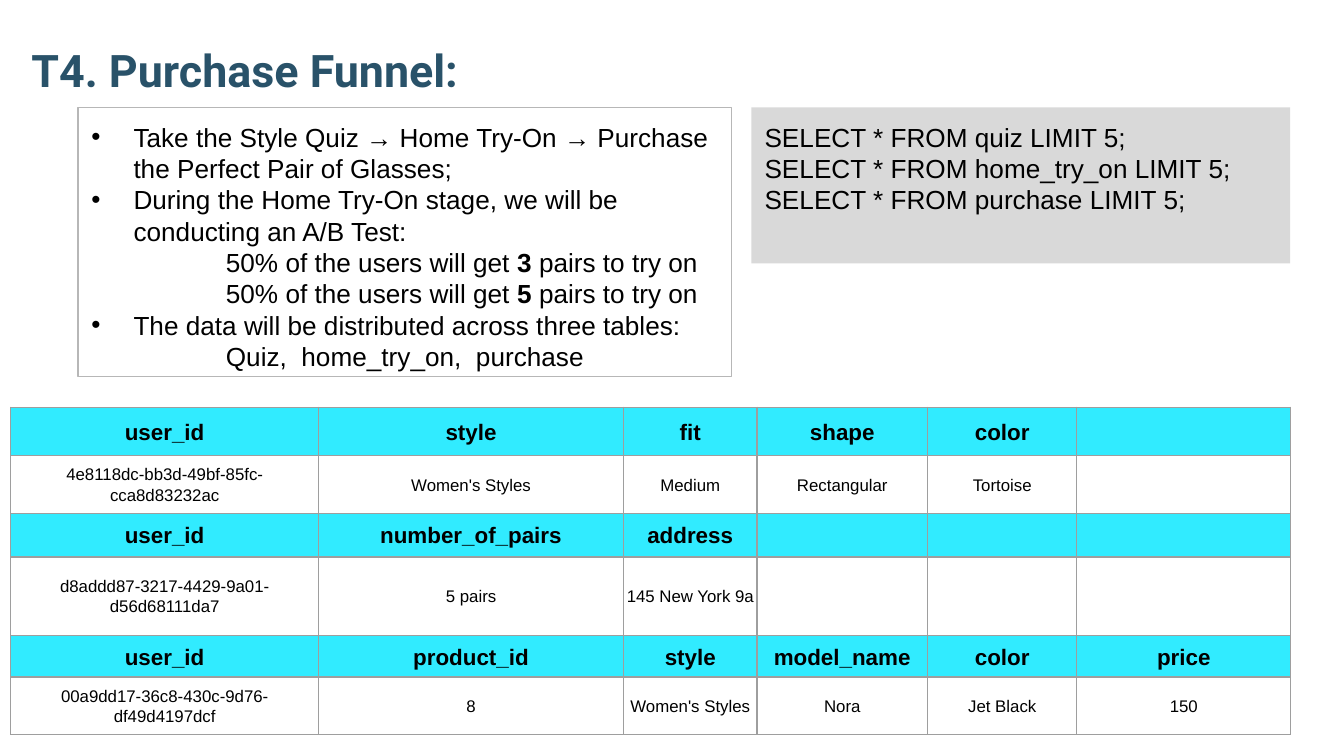
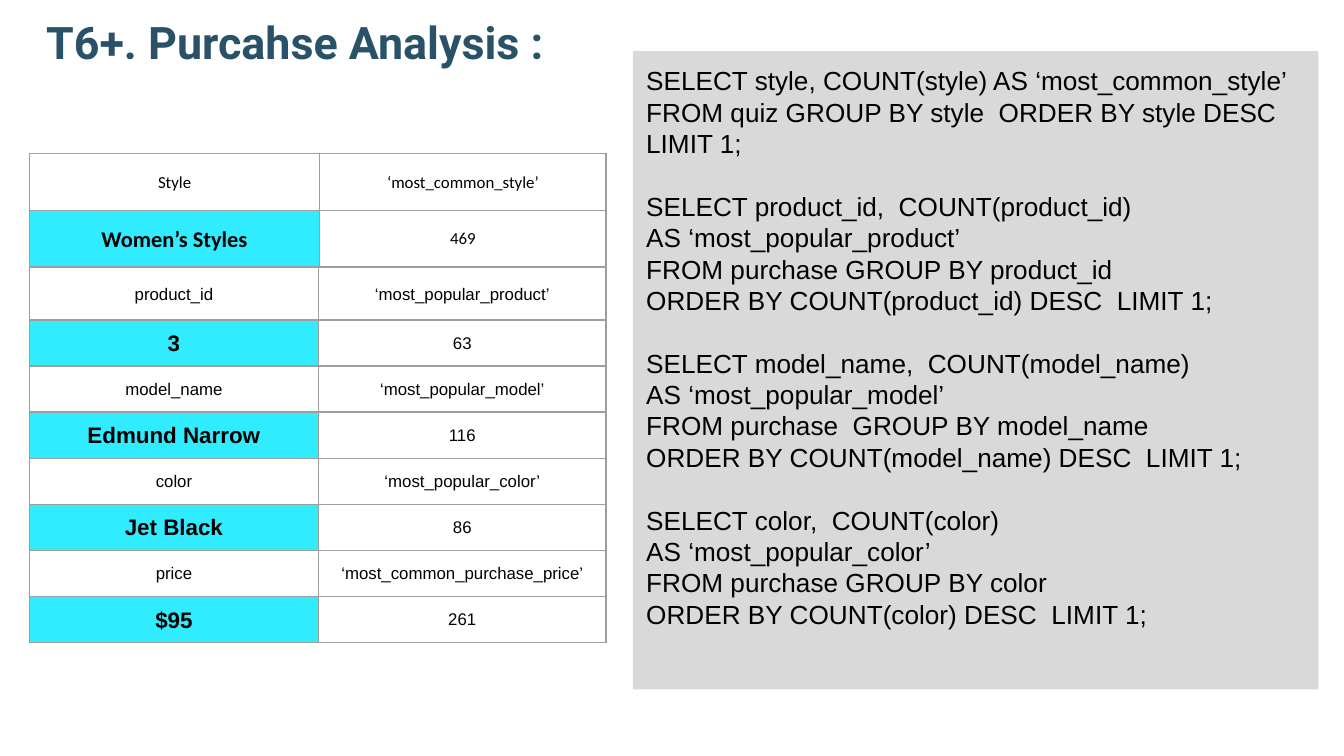
import pptx
import pptx.dml.color
import pptx.enum.shapes
import pptx.enum.text
import pptx.oxml
import pptx.oxml.ns
import pptx.util
from lxml import etree

Pt = pptx.util.Pt
ANCHOR = pptx.enum.text.MSO_ANCHOR
ALIGN = pptx.enum.text.PP_ALIGN

NAVY, BLACK, CYAN = "295269", "000000", "31EBFF"
PANEL_GREY, BOX_GREY, GRID_GREY = "D9D9D9", "B7B7B7", "9E9E9E"
INSET = 7.2
CODE_GAP = 16.8

FUNNEL_STEPS = [
    ("bullet", "Take the Style Quiz → Home Try-On → Purchase the Perfect Pair of Glasses;"),
    ("bullet", "During the Home Try-On stage, we will be conducting an A/B Test:"),
    ("detail", "50% of the users will get |3| pairs to try on"),
    ("detail", "50% of the users will get |5| pairs to try on"),
    ("bullet", "The data will be distributed across three tables:"),
    ("detail", "Quiz,  home_try_on,  purchase"),
]
FUNNEL_QUERIES = [[
    "SELECT * FROM quiz LIMIT 5;",
    "SELECT * FROM home_try_on LIMIT 5;",
    "SELECT * FROM purchase LIMIT 5;",
]]
FUNNEL_ROWS = [
    ["user_id", "style", "fit", "shape", "color", ""],
    ["4e8118dc-bb3d-49bf-85fc-cca8d83232ac", "Women's Styles", "Medium",
     "Rectangular", "Tortoise", ""],
    ["user_id", "number_of_pairs", "address", "", "", ""],
    ["d8addd87-3217-4429-9a01-d56d68111da7", "5 pairs", "145 New York 9a", "", "", ""],
    ["user_id", "product_id", "style", "model_name", "color", "price"],
    ["00a9dd17-36c8-430c-9d76-df49d4197dcf", "8", "Women's Styles", "Nora",
     "Jet Black", "150"],
]
ANALYSIS_QUERIES = [
    ["SELECT style, COUNT(style) AS ‘most_common_style’",
     "FROM quiz GROUP BY style  ORDER BY style DESC  LIMIT 1;"],
    ["SELECT product_id,  COUNT(product_id)",
     "AS ‘most_popular_product’",
     "FROM purchase GROUP BY product_id\vORDER BY COUNT(product_id) DESC  LIMIT 1;"],
    ["SELECT model_name,  COUNT(model_name)",
     "AS ‘most_popular_model’",
     "FROM purchase  GROUP BY model_name\vORDER BY COUNT(model_name) DESC  LIMIT 1;"],
    ["SELECT color,  COUNT(color)",
     "AS ‘most_popular_color’",
     "FROM purchase GROUP BY color\vORDER BY COUNT(color) DESC  LIMIT 1;"],
]
STYLE_ROWS = [["Style", "‘most_common_style’"], ["Women’s Styles", "469"]]
PRODUCT_ROWS = [
    ["product_id", "‘most_popular_product’"], ["3", "63"],
    ["model_name", "‘most_popular_model’"], ["Edmund Narrow", "116"],
    ["color", "‘most_popular_color’"], ["Jet Black", "86"],
    ["price", "‘most_common_purchase_price’"], ["$95", "261"],
]


def rgb(value):
    return pptx.dml.color.RGBColor.from_string(value)


def place(shape, box):
    shape.left, shape.top, shape.width, shape.height = (Pt(length) for length in box)


def style_runs(paragraph, size, font_name="Arial", colour=BLACK, bold=False):
    for run in paragraph.runs:
        run.font.size = Pt(size)
        run.font.name = font_name
        run.font.bold = bold
        run.font.color.rgb = rgb(colour)


def prepare_frame(text_frame, anchor):
    text_frame.word_wrap = True
    text_frame.auto_size = pptx.enum.text.MSO_AUTO_SIZE.NONE
    text_frame.vertical_anchor = anchor
    text_frame.margin_left = text_frame.margin_right = Pt(INSET)
    text_frame.margin_top = text_frame.margin_bottom = Pt(INSET)


def set_indent(paragraph, left, first_line, bullet):
    properties = paragraph._p.get_or_add_pPr()
    properties.set("marL", str(Pt(left)))
    properties.set("indent", str(Pt(first_line)))
    name = "a:buChar" if bullet else "a:buNone"
    mark = etree.SubElement(properties, pptx.oxml.ns.qn(name))
    if bullet:
        mark.set("char", bullet)


def set_title(slide, text, box):
    """Sit the title one line above the bottom of its box."""
    title = slide.shapes.title
    place(title, box)
    text_frame = title.text_frame
    prepare_frame(text_frame, ANCHOR.BOTTOM)
    text_frame.margin_left = Pt(INSET + 6)
    text_frame.margin_bottom = Pt(INSET + 28.2)
    text_frame.text = text
    paragraph = text_frame.paragraphs[0]
    paragraph.alignment = ALIGN.LEFT
    style_runs(paragraph, 24, "Roboto", NAVY, bold=True)


def fill_steps(body, steps, box):
    """Fill the outlined list; text between bars is bold."""
    place(body, box)
    body.line.color.rgb = rgb(BOX_GREY)
    body.line.width = Pt(0.75)
    text_frame = body.text_frame
    prepare_frame(text_frame, ANCHOR.TOP)
    for index, (kind, text) in enumerate(steps):
        paragraph = text_frame.add_paragraph() if index else text_frame.paragraphs[0]
        paragraph.space_before = Pt(0)
        if kind == "bullet":
            set_indent(paragraph, 22.5, -22.5, "•")
        else:
            set_indent(paragraph, 72, 0, None)
        for part in text.split("|"):
            paragraph.add_run().text = part
        style_runs(paragraph, 14)
        for run in paragraph.runs[1::2]:
            run.font.bold = True


def add_code_panel(slide, queries, box):
    panel = slide.shapes.add_shape(
        pptx.enum.shapes.MSO_SHAPE.RECTANGLE, *(Pt(length) for length in box))
    panel.shadow.inherit = False
    panel.fill.solid()
    panel.fill.fore_color.rgb = rgb(PANEL_GREY)
    panel.line.fill.background()
    text_frame = panel.text_frame
    prepare_frame(text_frame, ANCHOR.TOP)
    text_frame.text = "\n".join(line for query in queries for line in query)
    paragraphs = iter(text_frame.paragraphs)
    for query_index, query in enumerate(queries):
        for line_index in range(len(query)):
            paragraph = next(paragraphs)
            paragraph.alignment = ALIGN.LEFT
            if query_index and line_index == 0:
                paragraph.space_before = Pt(CODE_GAP)
            style_runs(paragraph, 14)


def add_borders(cell):
    properties = cell._tc.get_or_add_tcPr()
    for position, side in enumerate(("lnL", "lnR", "lnT", "lnB")):
        border = pptx.oxml.parse_xml(
            f'<a:{side} {pptx.oxml.ns.nsdecls("a")} w="{Pt(0.75)}"><a:solidFill>'
            f'<a:srgbClr val="{GRID_GREY}"/></a:solidFill></a:{side}>')
        properties.insert(position, border)


def add_grid(slide, rows, origin, widths, heights, is_highlighted, font_name="Arial"):
    """Add a table whose highlighted cells are cyan with larger bold text."""
    frame = slide.shapes.add_table(
        len(rows), len(widths), *(Pt(length) for length in origin),
        Pt(sum(widths)), Pt(sum(heights)))
    table = frame.table
    table.first_row = table.horz_banding = False
    for column, width in zip(table.columns, widths):
        column.width = Pt(width)
    for row_index, (values, height) in enumerate(zip(rows, heights)):
        table.rows[row_index].height = Pt(height)
        for column_index, value in enumerate(values):
            cell = table.cell(row_index, column_index)
            highlighted = is_highlighted(row_index, column_index)
            if highlighted:
                cell.fill.solid()
                cell.fill.fore_color.rgb = rgb(CYAN)
            else:
                cell.fill.background()
            add_borders(cell)
            cell.vertical_anchor = ANCHOR.MIDDLE
            cell.margin_left = cell.margin_right = Pt(0.75)
            cell.margin_top = cell.margin_bottom = Pt(0.75)
            if value:
                cell.text_frame.text = value
                paragraph = cell.text_frame.paragraphs[0]
                paragraph.alignment = ALIGN.CENTER
                paragraph.line_spacing = 1.07
                style_runs(paragraph, 12 if highlighted else 9, font_name, bold=highlighted)


def is_header_row(row, column):
    return row % 2 == 0


def is_top_answer(row, column):
    return row % 2 == 1 and column == 0


def build_funnel_slide(presentation):
    slide = presentation.slides.add_slide(presentation.slide_layouts[1])
    set_title(slide, "T4. Purchase Funnel:", (3.6, 14.4, 281.5, 72.7))
    add_code_panel(slide, FUNNEL_QUERIES, (402.5, 57.6, 288.7, 83.5))
    fill_steps(slide.placeholders[1], FUNNEL_STEPS, (41.8, 57.6, 350, 144))
    add_grid(slide, FUNNEL_ROWS, (5.76, 218.2),
             [164.9, 163.4, 71.5, 91.4, 80, 114.6],
             [26, 30.8, 22.8, 42.2, 22, 30.8], is_header_row)


def build_analysis_slide(presentation):
    slide = presentation.slides.add_slide(presentation.slide_layouts[5])
    add_code_panel(slide, ANALYSIS_QUERIES, (339.1, 27.4, 367.2, 342))
    set_title(slide, "T6+. Purcahse Analysis :", (11.5, 27.4, 665.3, 44.6))
    add_grid(slide, STYLE_ROWS, (15.8, 82.1), [155.5, 153.4], [30.5] * 2,
             is_top_answer, "Calibri")
    add_grid(slide, PRODUCT_ROWS, (15.8, 143.3), [154.8, 154.1], [28.1] + [24.7] * 7,
             is_top_answer)


def main():
    presentation = pptx.Presentation()
    presentation.slide_width, presentation.slide_height = Pt(720), Pt(405)
    build_funnel_slide(presentation)
    build_analysis_slide(presentation)
    presentation.save("out.pptx")


if __name__ == "__main__":
    main()
